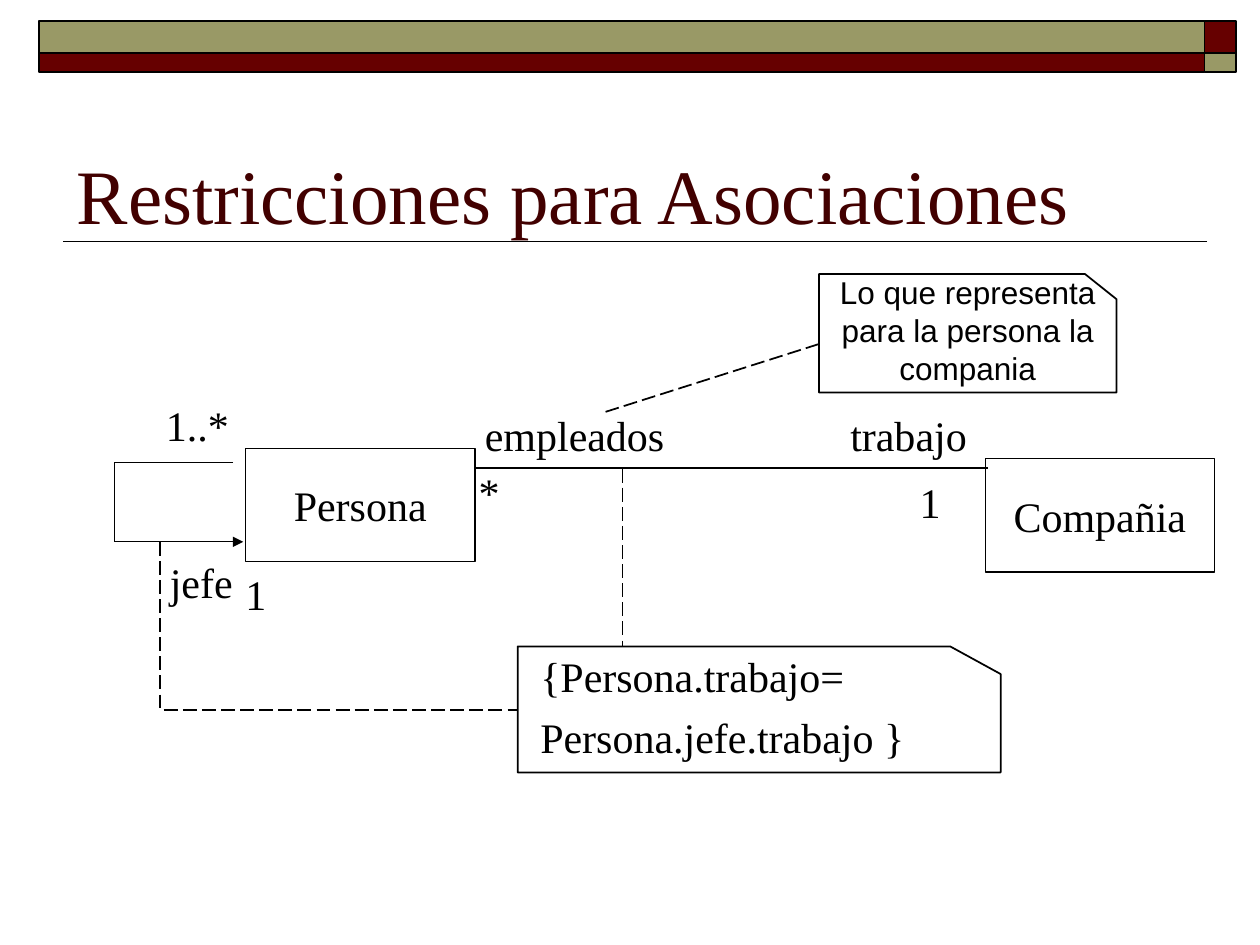
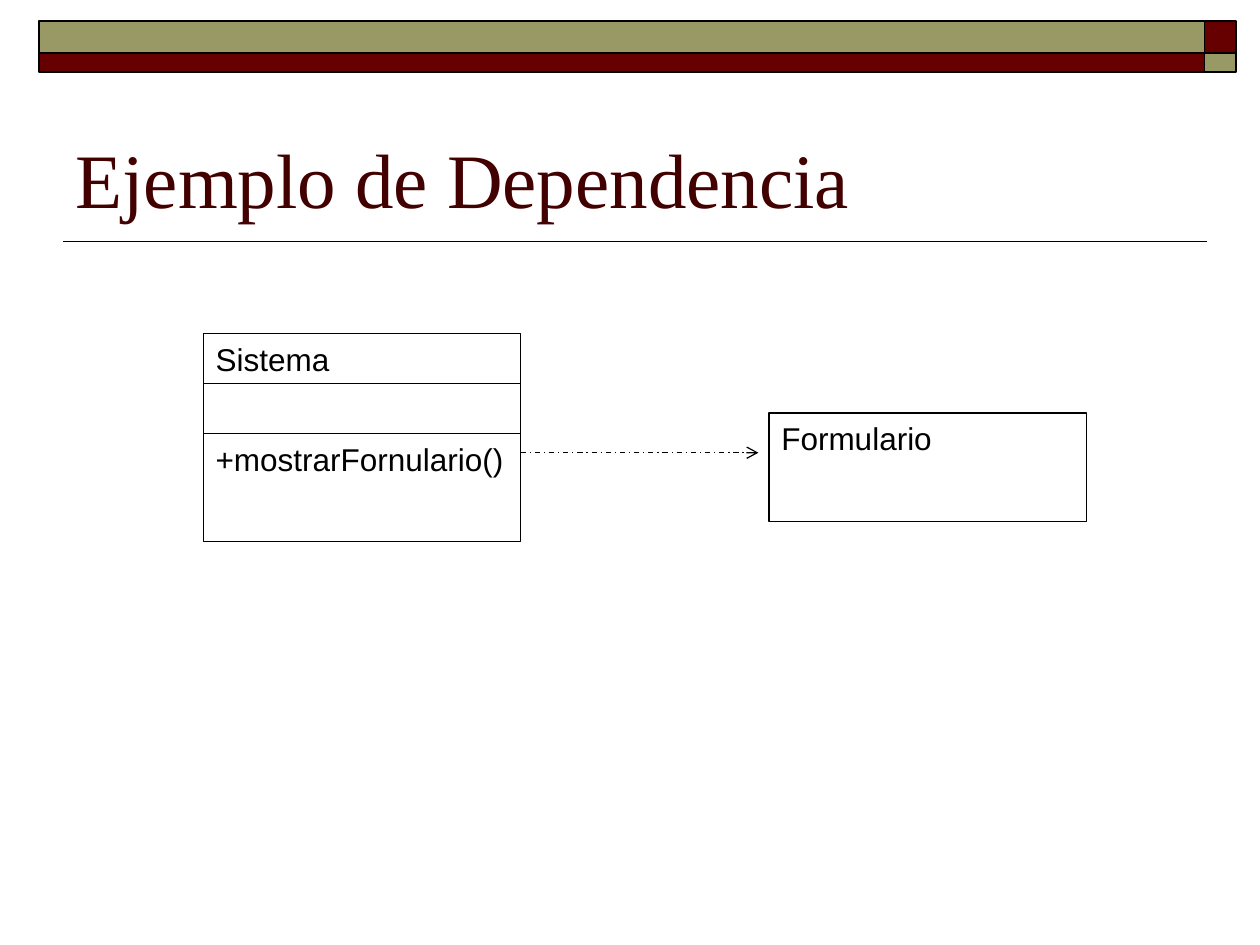
from dataclasses import dataclass
from itertools import pairwise

from lxml import etree
from pptx import Presentation
from pptx.dml.color import RGBColor
from pptx.enum import dml, shapes, text
from pptx.oxml.ns import qn
from pptx.util import Pt


@dataclass(frozen=True)
class Theme:
    ink: RGBColor = RGBColor(0, 0, 0)
    maroon: RGBColor = RGBColor(0x66, 0, 0)
    olive: RGBColor = RGBColor(0x99, 0x99, 0x66)
    heading: RGBColor = RGBColor(0x42, 0, 0)
    serif: str = "Times New Roman"
    sans: str = "Arial"
    title_size: int = 44
    label_size: int = 24
    note_size: int = 18
    thin: float = 0.75
    line: float = 1


THEME = Theme()
LABEL = (THEME.serif, THEME.label_size, THEME.ink)
NOTE = (THEME.sans, THEME.note_size, THEME.ink)
TITLE = (THEME.serif, THEME.title_size, THEME.heading)
LONG_DASH = dml.MSO_LINE.LONG_DASH
DASH_DOT = dml.MSO_LINE.DASH_DOT
ANCHOR = text.MSO_ANCHOR
CENTER = text.PP_ALIGN.CENTER

# Lengths are in points; boxes are (left, top, width, height).
BAND_COLUMNS = [(22.3, 666), (688.3, 18)]
BAND_ROWS = [(12.2, 18), (30.2, 10.8)]
TITLE_RULE = [(689.8, 138), (36, 138)]

ASSOCIATION_TITLE = ("Restricciones para Asociaciones", (36.7, 65.5, 671.8, 90), ANCHOR.MIDDLE)
CLASS_BOXES = [("Persona", (140.4, 256.2, 131, 64.8)), ("Compañia", (563, 262.1, 131, 64.8))]
LABEL_HEIGHT = 36
LABELS = [  # text, left, top, width
    ("empleados", 270, 230.4, 117.4),
    ("trabajo", 478.8, 230.4, 81.4),
    ("*", 266.4, 262.8, 26.6),
    ("1", 518.4, 268.6, 26.6),
    ("1", 133.2, 321.1, 26.6),
    ("1..*", 87.8, 224.6, 50.4),
    ("jefe", 90, 314.6, 50.4),
]
ASSOCIATION = [(271.4, 267.6), (564.5, 267.6)]
BOSS_LOOP = [(133.2, 264.2), (65.5, 264.2), (65.5, 309.6), (139, 309.6)]
NOTE_LINKS = [
    [(355.7, 267.8), (355.7, 369.4)],
    [(468, 196.6), (343.4, 236.2)],
]
BOSS_LINK = [(91.4, 309.6), (91.4, 405.6), (296, 405.6)]
NOTES = [  # outline box, folded corner, text box, paragraphs, style, layout
    ((295.8, 369.4, 276, 72), (28.8, 15.8), (301.7, 375.8, 300.2, 62.6),
     ["{Persona.trabajo=", "Persona.jefe.trabajo }"], LABEL,
     dict(before=15, spacing=0.7)),
    ((468, 156.6, 170, 67.7), (18, 14.4), (468, 152.6, 170, 72),
     ["Lo que representa para la persona la compania"], NOTE,
     dict(align=CENTER)),
]

DEPENDENCY_TITLE = ("Ejemplo de Dependencia", (36, 41.8, 648, 90), ANCHOR.BOTTOM)
SYSTEM_LEFT, CLASS_WIDTH = 116.1, 181.4
SYSTEM_TOPS = [190.6, 219.2, 247.8, 309.3]
SYSTEM_PARTS = ["Sistema", "", "+mostrarFornulario()"]
FORM_BOX = ("Formulario", (439.4, 236, CLASS_WIDTH, 61.9))
DEPENDENCY = [(297.5, 258.7), (433.4, 258.7)]


def points(values):
    return [Pt(value) for value in values]


def write(shape, paragraphs, style, anchor=ANCHOR.TOP, align=None, wrap=True,
          grow=False, before=None, spacing=None):
    font, size, color = style
    frame = shape.text_frame
    frame.word_wrap = wrap
    frame.vertical_anchor = anchor
    frame.auto_size = (text.MSO_AUTO_SIZE.SHAPE_TO_FIT_TEXT if grow
                       else text.MSO_AUTO_SIZE.NONE)
    for index, content in enumerate(paragraphs):
        para = frame.add_paragraph() if index else frame.paragraphs[0]
        para.alignment = align or text.PP_ALIGN.LEFT
        if before:
            para.space_before = Pt(before)
        if spacing:
            para.line_spacing = spacing
        span = para.add_run()
        span.text = content
        span.font.name = font
        span.font.size = Pt(size)
        span.font.color.rgb = color


def outline(shape, width, fill=None, dash=None):
    shape.shadow.inherit = False
    if fill is None:
        shape.fill.background()
    else:
        shape.fill.solid()
        shape.fill.fore_color.rgb = fill
    stroke(shape, width, dash)


def stroke(shape, width, dash=None):
    shape.line.color.rgb = THEME.ink
    shape.line.width = Pt(width)
    if dash:
        shape.line.dash_style = dash


def add_box(page, box, width, fill=None):
    shape = page.shapes.add_shape(shapes.MSO_SHAPE.RECTANGLE, *points(box))
    outline(shape, width, fill)
    return shape


def add_text(page, box, paragraphs, style, **layout):
    write(page.shapes.add_textbox(*points(box)), paragraphs, style, grow=True, **layout)


def add_line(page, ends, width=THEME.line, dash=None, arrow=None):
    start, end = ends
    line = page.shapes.add_connector(shapes.MSO_CONNECTOR.STRAIGHT, *points(start + end))
    stroke(line, width, dash)
    properties = line.element.spPr
    if arrow:
        etree.SubElement(properties.find(qn("a:ln")), qn("a:tailEnd"), type=arrow)
    etree.SubElement(properties, qn("a:effectLst"))


def add_path(page, corners, close=False, dash=None):
    first, *rest = [tuple(points(corner)) for corner in corners]
    builder = page.shapes.build_freeform(*first)
    builder.add_line_segments(rest, close=close)
    outline(builder.convert_to_shape(), THEME.line, dash=dash)


def add_note(page, box, fold, text_box, paragraphs, style, layout):
    """Draw a sheet with its top right corner cut, then its text."""
    left, top, width, height = box
    right, bottom = left + width, top + height
    add_path(page, [(left, top), (left, bottom), (right, bottom),
                    (right, top + fold[1]), (right - fold[0], top)], close=True)
    add_text(page, text_box, paragraphs, style, **layout)


def add_page(deck, heading, box, anchor):
    """Add a slide with the shared bands, rule and title style."""
    page = deck.slides.add_slide(deck.slide_layouts[5])
    add_line(page, TITLE_RULE)
    for row, (top, height) in enumerate(BAND_ROWS):
        for column, (left, width) in enumerate(BAND_COLUMNS):
            fill = THEME.olive if row == column else THEME.maroon
            add_box(page, (left, top, width, height), THEME.line, fill)
    title = page.shapes.title
    title.left, title.top, title.width, title.height = points(box)
    write(title, [heading], TITLE, anchor=anchor)
    return page


def build_association(deck):
    page = add_page(deck, *ASSOCIATION_TITLE)
    for name, box in CLASS_BOXES:
        write(add_box(page, box, 0), [name], LABEL, anchor=ANCHOR.MIDDLE,
              align=CENTER, wrap=False)
    add_line(page, ASSOCIATION)
    for ends in NOTE_LINKS:
        add_line(page, ends, dash=LONG_DASH)
    add_path(page, BOSS_LINK, dash=LONG_DASH)
    for ends in pairwise(BOSS_LOOP):
        arrow = "triangle" if ends[1] == BOSS_LOOP[-1] else None
        add_line(page, ends, THEME.thin, arrow=arrow)
    for note in NOTES:
        add_note(page, *note)
    for label, left, top, width in LABELS:
        add_text(page, (left, top, width, LABEL_HEIGHT), [label], LABEL, wrap=False)


def build_dependency(deck):
    page = add_page(deck, *DEPENDENCY_TITLE)
    parts = [(name, (SYSTEM_LEFT, top, CLASS_WIDTH, bottom - top))
             for name, (top, bottom) in zip(SYSTEM_PARTS, pairwise(SYSTEM_TOPS))]
    for name, box in parts + [FORM_BOX]:
        shape = add_box(page, box, THEME.thin)
        if name:
            write(shape, [name], NOTE)
    add_line(page, DEPENDENCY, THEME.thin, DASH_DOT, "arrow")


def main():
    deck = Presentation()
    deck.slide_width, deck.slide_height = Pt(720), Pt(540)
    build_association(deck)
    build_dependency(deck)
    deck.save("out.pptx")


if __name__ == "__main__":
    main()
